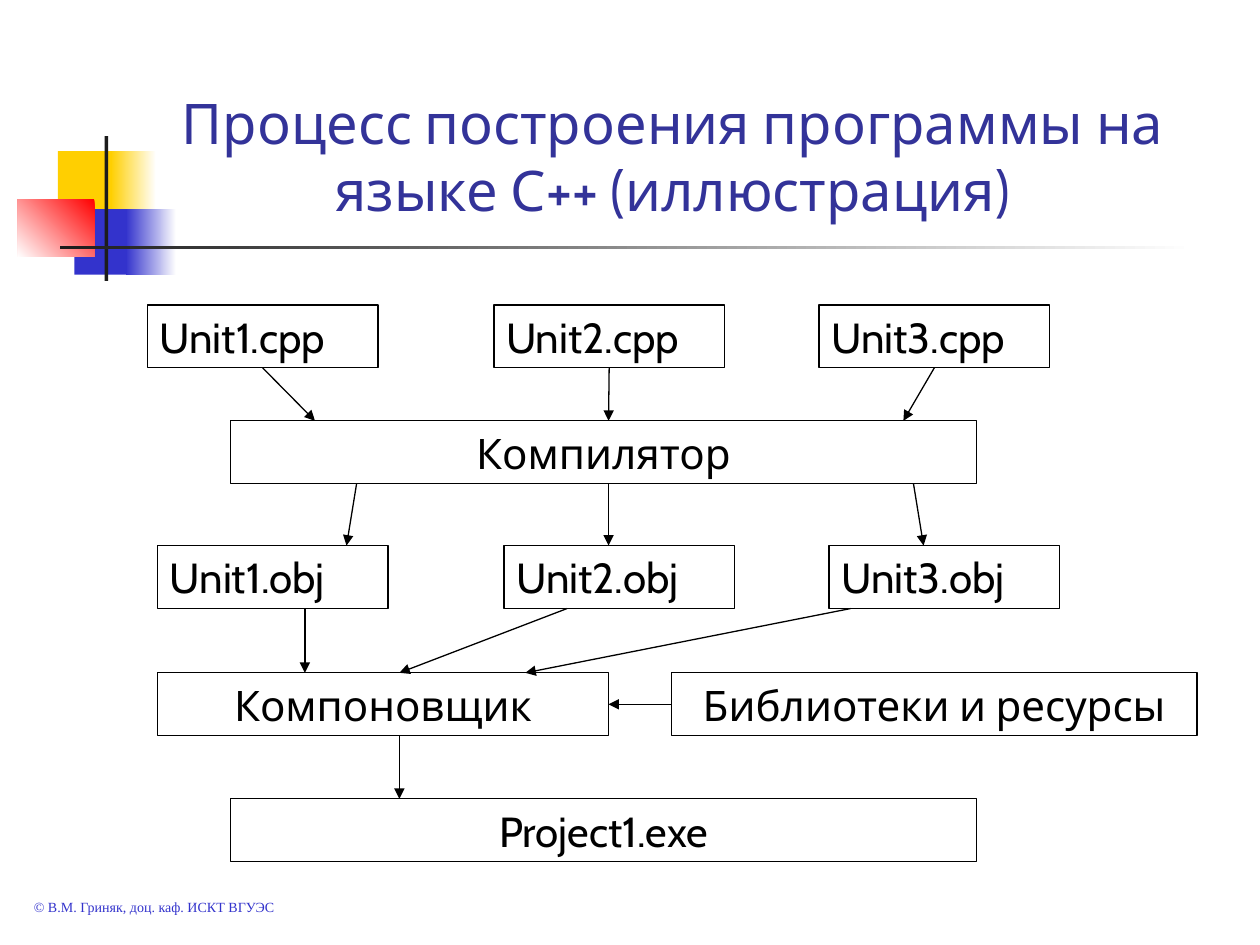
from dataclasses import dataclass

from lxml.etree import SubElement
from pptx import Presentation
from pptx.dml.color import RGBColor
from pptx.enum.shapes import MSO_CONNECTOR as LINE, MSO_SHAPE as SHAPE
from pptx.enum.text import MSO_ANCHOR as ANCHOR, PP_ALIGN as ALIGN
from pptx.oxml.ns import qn
from pptx.slide import Slide
from pptx.util import Inches, Pt

WHITE = RGBColor(0xFF, 0xFF, 0xFF)
BLACK = RGBColor(0x00, 0x00, 0x00)
CHARCOAL = RGBColor(0x1C, 0x1C, 0x1C)
YELLOW = RGBColor(0xFF, 0xCF, 0x01)
BLUE = RGBColor(0x33, 0x33, 0xCC)
RED = RGBColor(0xFF, 0x00, 0x00)
INDIGO = RGBColor(0x33, 0x33, 0x99)

BOX_HEIGHT = 0.5
UNIT_WIDTH = 1.83
SOURCE_TOP, COMPILER_TOP, OBJECT_TOP, LINKER_TOP, PROGRAM_TOP = 2.42, 3.34, 4.33, 5.34, 6.34


@dataclass
class Diagram:
    """Draws the elements of the build diagram in one style on one slide."""

    slide: Slide
    font: str = "Cabin"
    box_size: int = 24
    line_width: float = 0.75

    def add_words(self, frame, words, size, color, font, align, anchor):
        frame.word_wrap = True
        frame.vertical_anchor = anchor
        paragraph = frame.paragraphs[0]
        paragraph.alignment = align
        run = paragraph.add_run()
        run.text = words
        run.font.size = Pt(size)
        run.font.name = font
        run.font.color.rgb = color

    def text(self, words, left, top, width, height, size, color,
             font=None, align=ALIGN.LEFT, anchor=ANCHOR.TOP):
        label = self.slide.shapes.add_textbox(
            Inches(left), Inches(top), Inches(width), Inches(height))
        self.add_words(label.text_frame, words, size, color, font or self.font, align, anchor)

    def rectangle(self, left, top, width, height):
        shape = self.slide.shapes.add_shape(
            SHAPE.RECTANGLE, Inches(left), Inches(top), Inches(width), Inches(height))
        shape.shadow.inherit = False
        return shape

    def block(self, left, top, width, height, color):
        block = self.rectangle(left, top, width, height)
        block.fill.solid()
        block.fill.fore_color.rgb = color
        block.line.fill.background()

    def fade(self, left, top, width, height, start, end, angle=180):
        fade = self.rectangle(left, top, width, height)
        fade.fill.gradient()
        fade.fill.gradient_angle = angle
        for stop, color in zip(fade.fill.gradient_stops, (start, end)):
            stop.color.rgb = color
        fade.line.fill.background()

    def box(self, words, left, top, width, align=ALIGN.CENTER, anchor=ANCHOR.MIDDLE):
        box = self.rectangle(left, top, width, BOX_HEIGHT)
        box.fill.background()
        box.line.color.rgb = BLACK
        box.line.width = Pt(self.line_width)
        self.add_words(box.text_frame, words, self.box_size, BLACK, self.font, align, anchor)
        return box

    def unit(self, words, left, top):
        return self.box(words, left, top, UNIT_WIDTH, ALIGN.LEFT, ANCHOR.TOP)

    def arrow(self, x1, y1, x2, y2):
        arrow = self.slide.shapes.add_connector(
            LINE.STRAIGHT, Inches(x1), Inches(y1), Inches(x2), Inches(y2))
        arrow.line.color.rgb = BLACK
        arrow.line.width = Pt(self.line_width)
        properties = arrow._element.spPr
        SubElement(properties.get_or_add_ln(), qn("a:tailEnd"), type="triangle")
        SubElement(properties, qn("a:effectLst"))
        return arrow


def main():
    deck = Presentation()
    deck.slide_width, deck.slide_height = Inches(10), Inches(7.5)
    diagram = Diagram(deck.slides.add_slide(deck.slide_layouts[6]))

    diagram.block(0.46, 1.2, 0.48, 0.52, YELLOW)
    diagram.fade(0.88, 1.2, 0.36, 0.52, WHITE, YELLOW)
    diagram.block(0.59, 1.66, 0.46, 0.52, BLUE)
    diagram.fade(1, 1.66, 0.4, 0.52, WHITE, BLUE)
    diagram.fade(0.14, 1.58, 0.61, 0.46, RED, WHITE, angle=225)
    diagram.block(0.83, 1.08, 0.03, 1.15, CHARCOAL)
    diagram.fade(0.48, 1.95, 9, 0.03, WHITE, CHARCOAL)

    diagram.text("Процесс построения программы на языке С++ (иллюстрация)",
                 1.08, 0.58, 8.52, 1.24, 32, INDIGO,
                 align=ALIGN.CENTER, anchor=ANCHOR.BOTTOM)
    diagram.text("© В.М. Гриняк, доц. каф. ИСКТ ВГУЭС",
                 0.17, 7.08, 2.67, 0.24, 8, BLUE, font="Times New Roman")

    sources = [diagram.unit(f"Unit{number}.cpp", left, SOURCE_TOP)
               for number, left in enumerate((1.17, 3.92, 6.5), 1)]
    diagram.box("Компилятор", 1.83, COMPILER_TOP, 5.92)
    for number, left in enumerate((1.25, 4, 6.58), 1):
        diagram.unit(f"Unit{number}.obj", left, OBJECT_TOP)
    linker = diagram.box("Компоновщик", 1.25, LINKER_TOP, 3.58)
    diagram.box("Project1.exe", 1.83, PROGRAM_TOP, 5.92)
    libraries = diagram.box("Библиотеки и ресурсы", 5.33, LINKER_TOP, 4.17)

    for source, start, end in zip(sources, (2.08, 4.83, 7.42), (2.5, 4.83, 7.17)):
        compiling = diagram.arrow(start, SOURCE_TOP + BOX_HEIGHT, end, COMPILER_TOP)
        compiling.begin_connect(source, 2)

    for upper, lower, ends in (
        (COMPILER_TOP, OBJECT_TOP, ((2.83, 2.75), (4.83, 4.83), (7.25, 7.33))),
        (OBJECT_TOP, LINKER_TOP, ((2.42, 2.42), (4.5, 3.17), (6.75, 4.17))),
        (LINKER_TOP, PROGRAM_TOP, ((3.17, 3.17),)),
    ):
        for start, end in ends:
            diagram.arrow(start, upper + BOX_HEIGHT, end, lower)

    middle = LINKER_TOP + BOX_HEIGHT / 2
    linking = diagram.arrow(5.33, middle, 4.83, middle)
    linking.begin_connect(libraries, 1)
    linking.end_connect(linker, 3)

    deck.save("out.pptx")


if __name__ == "__main__":
    main()
